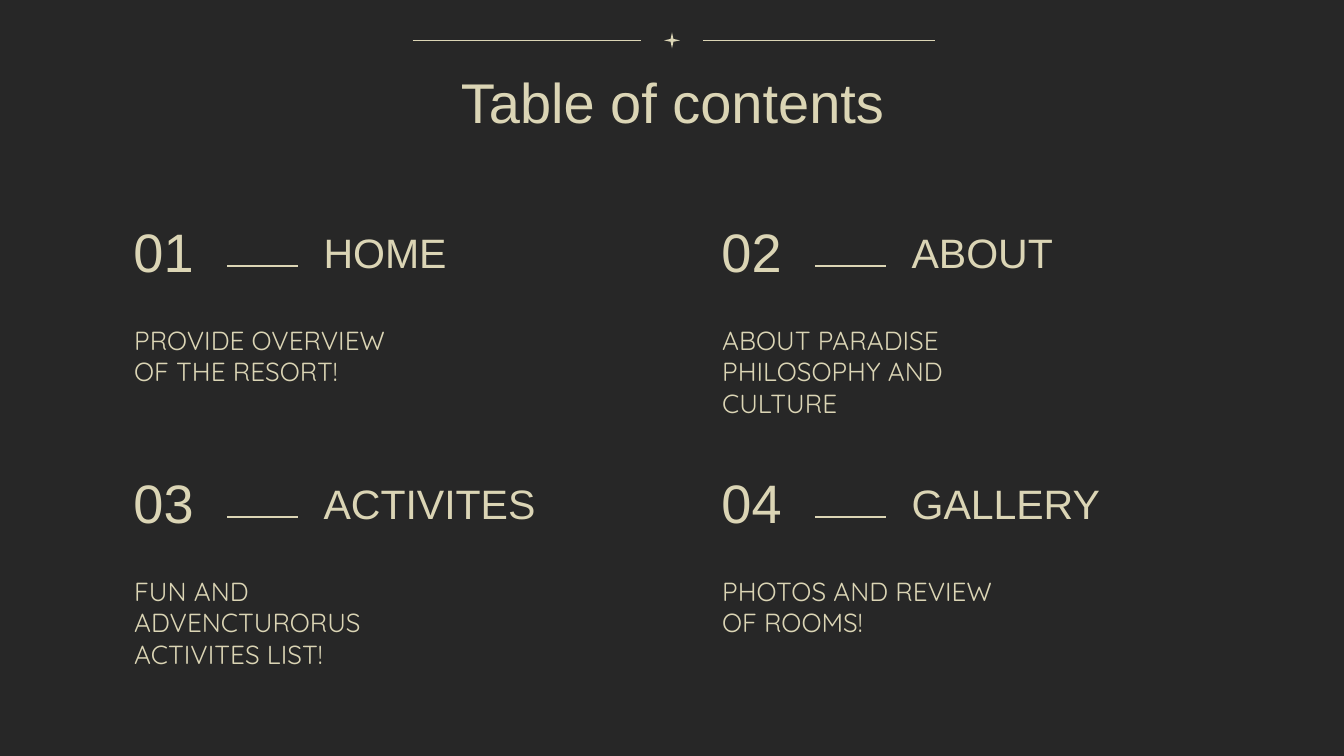
from dataclasses import dataclass

from lxml.etree import SubElement
from pptx import Presentation
from pptx.dml.color import RGBColor
from pptx.enum.shapes import MSO_CONNECTOR as Connector, MSO_SHAPE as Shape
from pptx.enum.text import MSO_ANCHOR as Anchor, PP_ALIGN as Align
from pptx.oxml.ns import qn
from pptx.slide import Slide
from pptx.util import Inches, Pt


@dataclass(frozen=True)
class Theme:
    background: RGBColor = RGBColor(0x27, 0x27, 0x27)
    ink: RGBColor = RGBColor(0xDB, 0xD5, 0xB5)
    display: str = "Arial"
    body: str = "Quicksand"
    title: int = 30
    number: int = 29
    heading: int = 22
    blurb: int = 14
    rule: float = 0.75


@dataclass(frozen=True)
class Box:
    """A rectangle in percent of the slide's width and height."""
    x: float
    y: float
    w: float
    h: float

    def moved(self, dx: float, dy: float) -> "Box":
        return Box(self.x + dx, self.y + dy, self.w, self.h)

    def emu(self) -> tuple[int, int, int, int]:
        return (int(WIDTH * self.x / 100), int(HEIGHT * self.y / 100),
                int(WIDTH * self.w / 100), int(HEIGHT * self.h / 100))


@dataclass(frozen=True)
class Section:
    heading: str
    blurb: str


THEME = Theme()
WIDTH, HEIGHT = Inches(10), Inches(5.625)

COLUMNS, COLUMN_STEP, ROW_STEP = 2, 43.75, 33.2
NUMBER = Box(6.4, 28.1, 9, 10.3)
RULE = Box(16.9, 35.2, 5.3, 0)
HEADING = Box(23.1, 28.25, 25.3, 10.3)
BLURB = Box(9, 41.1, 22.5, 14.2)

TITLE = Box(7.9, 7.1, 84.3, 10.7)
STAR = Box(49.4, 4.3, 1.2, 2.1)
ORNAMENT_RULES = (Box(30.7, 5.36, 17, 0), Box(52.3, 5.36, 17.3, 0))

SECTIONS = (
    Section("HOME", "PROVIDE OVERVIEW OF THE RESORT!"),
    Section("ABOUT", "ABOUT PARADISE PHILOSOPHY AND CULTURE"),
    Section("ACTIVITES", "FUN AND ADVENCTURORUS ACTIVITES LIST!"),
    Section("GALLERY", "PHOTOS AND REVIEW OF ROOMS!"),
)


def add_text(s: Slide, box: Box, text: str, size: int, font: str = THEME.display,
             align: Align = Align.LEFT, anchor: Anchor = Anchor.TOP) -> None:
    tf = s.shapes.add_textbox(*box.emu()).text_frame
    tf.word_wrap = True
    tf.vertical_anchor = anchor
    tf.margin_left = tf.margin_right = tf.margin_top = tf.margin_bottom = Inches(0.1)
    tf.text = text
    p = tf.paragraphs[0]
    p.alignment = align
    r = p.runs[0]
    r.font.name = font
    r.font.size = Pt(size)
    r.font.color.rgb = THEME.ink


def add_rule(s: Slide, box: Box) -> None:
    x, y, w, h = box.emu()
    line = s.shapes.add_connector(Connector.STRAIGHT, x, y, x + w, y + h)
    line.line.color.rgb = THEME.ink
    line.line.width = Pt(THEME.rule)
    SubElement(line._element.spPr, qn("a:effectLst"))


def add_star(s: Slide, box: Box) -> None:
    sp = s.shapes.add_shape(Shape.STAR_4_POINT, *box.emu())
    sp.adjustments[0] = 0.125
    sp.shadow.inherit = False
    sp.fill.solid()
    sp.fill.fore_color.rgb = THEME.ink
    sp.line.fill.background()


def add_section(s: Slide, index: int, section: Section) -> None:
    row, column = divmod(index, COLUMNS)
    shift = column * COLUMN_STEP, row * ROW_STEP
    add_text(s, NUMBER.moved(*shift), f"{index + 1:02}", THEME.number,
             align=Align.RIGHT, anchor=Anchor.MIDDLE)
    add_rule(s, RULE.moved(*shift))
    add_text(s, HEADING.moved(*shift), section.heading, THEME.heading,
             anchor=Anchor.MIDDLE)
    add_text(s, BLURB.moved(*shift), section.blurb, THEME.blurb, THEME.body)


def main() -> None:
    prs = Presentation()
    prs.slide_width, prs.slide_height = WIDTH, HEIGHT
    s = prs.slides.add_slide(prs.slide_layouts[6])
    s.background.fill.solid()
    s.background.fill.fore_color.rgb = THEME.background

    add_star(s, STAR)
    for box in ORNAMENT_RULES:
        add_rule(s, box)
    add_text(s, TITLE, "Table of contents", THEME.title, align=Align.CENTER)
    for index, section in enumerate(SECTIONS):
        add_section(s, index, section)

    prs.save("out.pptx")


if __name__ == "__main__":
    main()
